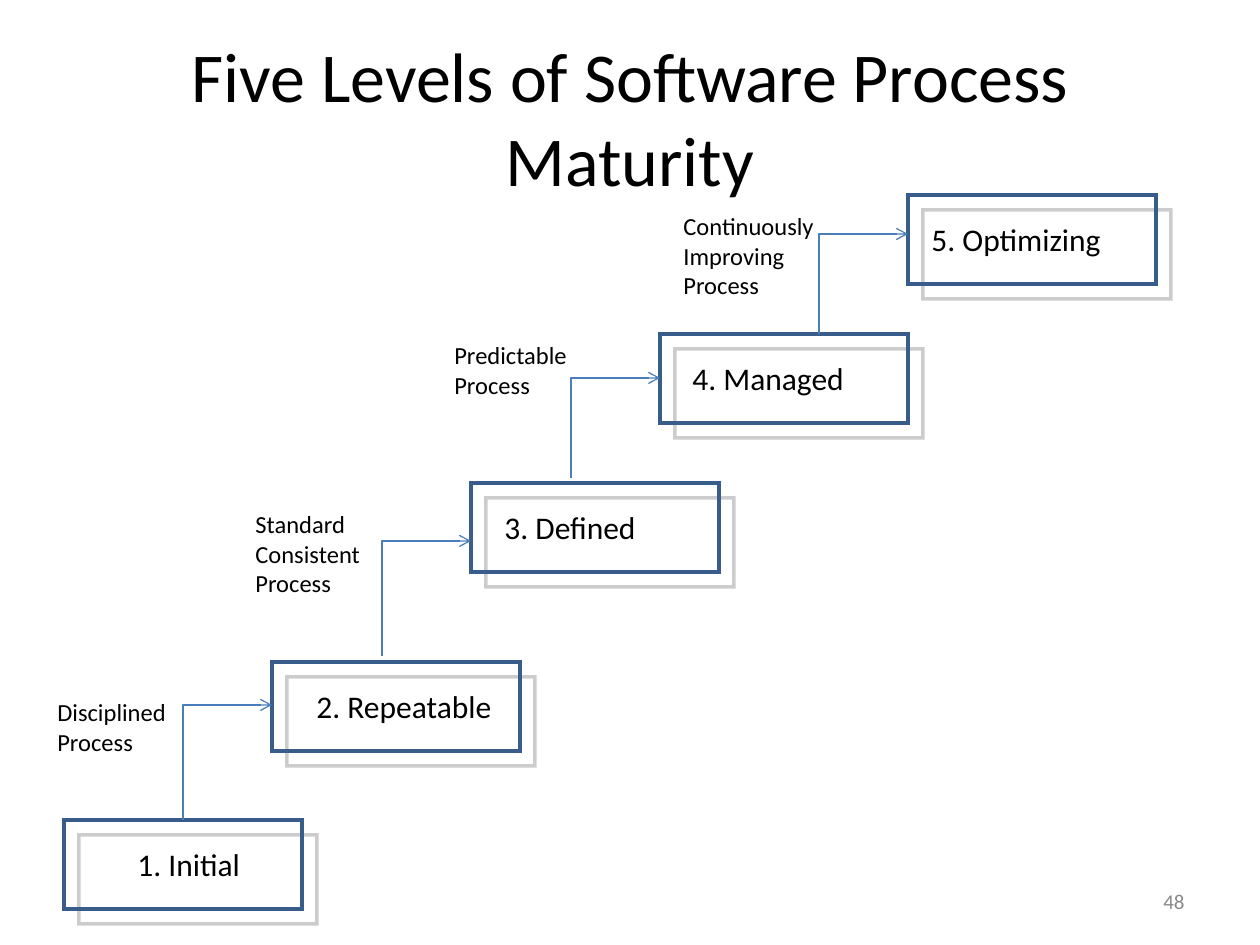
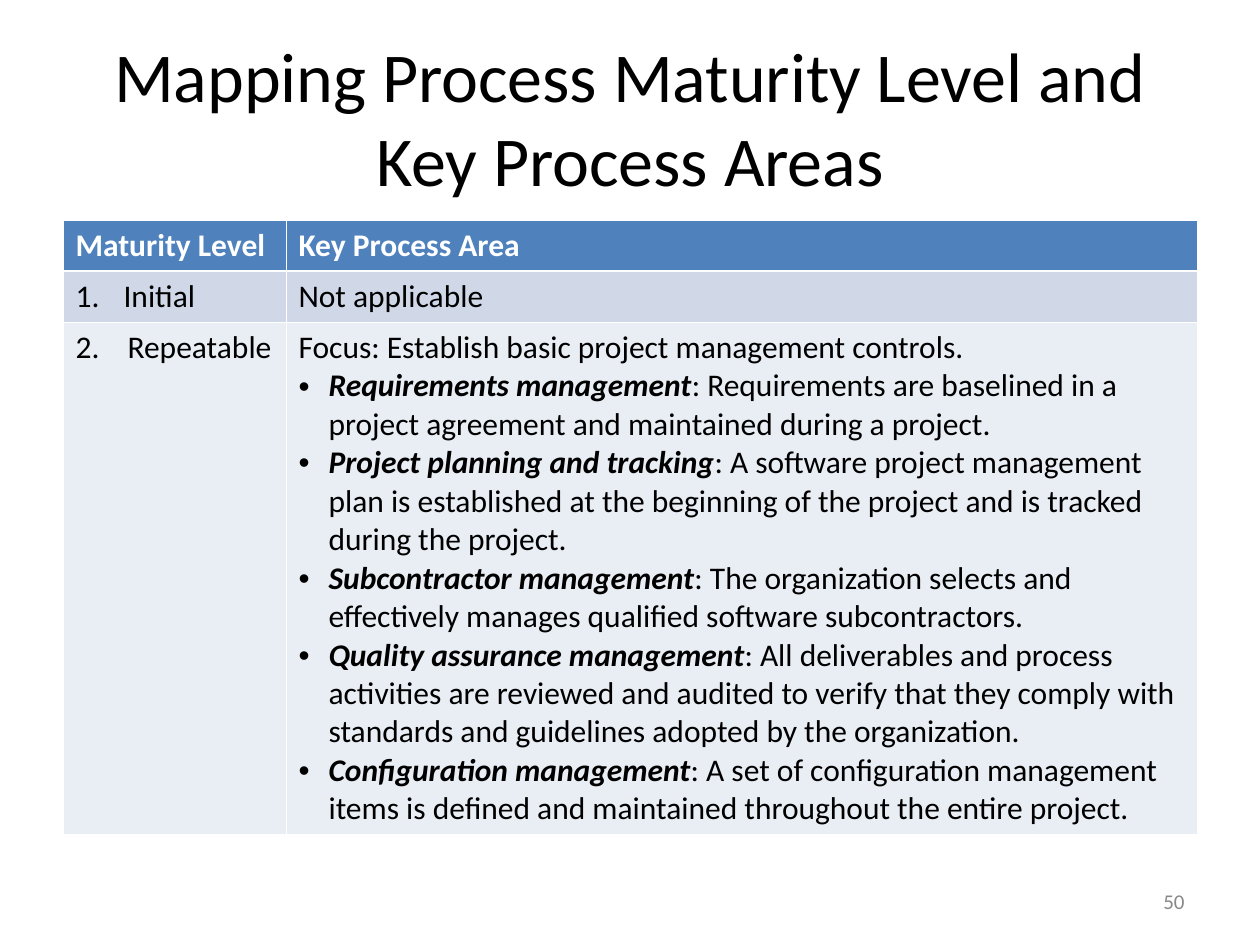
from dataclasses import dataclass

from lxml import etree
from pptx import Presentation
from pptx import util as u
from pptx.dml.color import RGBColor
from pptx.enum import shapes, text
from pptx.oxml import ns

PX = 914400 / 126  # EMU in one pixel


def px(length):
    return u.Emu(round(length * PX))


def put(target, values):
    for name, value in values.items():
        setattr(target, name, value)


def add_xml(parent, tag, **attributes):
    return etree.SubElement(parent, ns.qn(tag), attributes)


@dataclass(frozen=True)
class Theme:
    face: str = "Calibri"
    ink: str = "000000"
    paper: str = "FFFFFF"
    muted: str = "898989"
    box_line: str = "385D8A"
    arrow: str = "4A7EBB"
    header: str = "4F81BD"
    bands: tuple = ("D0D8E8", "E9EDF4")
    title_size: int = 40
    body_size: int = 18
    step_size: int = 14
    number_size: int = 12


INSETS = {"margin_left": px(12.6), "margin_right": px(12.6),
          "margin_top": px(6.3), "margin_bottom": px(6.3)}
TITLE_PLACE = {"left": px(63), "top": px(38), "width": px(1134), "height": px(157)}


class Deck:
    def __init__(self, theme):
        self.theme = theme
        self.show = Presentation()
        put(self.show, {"slide_width": px(1260), "slide_height": px(945)})
        self.slide = None

    # Text
    def run(self, paragraph, words, size, color=None, bold=False, italic=False):
        run = paragraph.add_run()
        run.text = words
        put(run.font, {"name": self.theme.face, "size": u.Pt(size),
                       "bold": bold, "italic": italic})
        run.font.color.rgb = RGBColor.from_string(color or self.theme.ink)

    def lines(self, frame, lines, size, color=None, align=text.PP_ALIGN.LEFT):
        for index, line in enumerate(lines):
            paragraph = frame.add_paragraph() if index else frame.paragraphs[0]
            paragraph.alignment = align
            self.run(paragraph, line, size, color)

    def label(self, place, lines, size):
        frame = self.slide.shapes.add_textbox(*map(px, place)).text_frame
        put(frame, {**INSETS, "word_wrap": True,
                    "auto_size": text.MSO_AUTO_SIZE.NONE})
        self.lines(frame, lines, size)

    # Slide with its title and number
    def new_slide(self, title, number):
        self.slide = self.show.slides.add_slide(self.show.slide_layouts[5])
        heading = self.slide.shapes.title
        put(heading, TITLE_PLACE)
        middle = {**INSETS, "word_wrap": True,
                  "vertical_anchor": text.MSO_ANCHOR.MIDDLE,
                  "auto_size": text.MSO_AUTO_SIZE.NONE}
        put(heading.text_frame, middle)
        self.lines(heading.text_frame, [title], self.theme.title_size,
                   align=text.PP_ALIGN.CENTER)
        footer = self.slide.shapes.add_textbox(*map(px, (903, 876, 294, 50)))
        put(footer.text_frame, middle)
        self.lines(footer.text_frame, [number], self.theme.number_size,
                   self.theme.muted, text.PP_ALIGN.RIGHT)

    # Outlined box with sharp corners and an offset shadow
    def box(self, place):
        box = self.slide.shapes.add_shape(shapes.MSO_SHAPE.RECTANGLE, *map(px, place))
        box.fill.background()
        box.line.color.rgb = RGBColor.from_string(self.theme.box_line)
        box.line.width = u.Pt(2)
        add_xml(box.line._get_or_add_ln(), "a:miter", lim="800000")
        box.shadow.inherit = False
        effects = box._element.spPr.find(ns.qn("a:effectLst"))
        shadow = add_xml(effects, "a:outerShdw", dist=str(u.Pt(12.1)), dir="2700000",
                         algn="tl", rotWithShape="0")
        black = add_xml(shadow, "a:srgbClr", val=self.theme.ink)
        add_xml(black, "a:alpha", val="20000")

    # Arrow that rises, then turns right: a flipped elbow turned by 90 degrees
    def rising_arrow(self, x, y, run, rise):
        left, top = x + (run - rise) / 2, y - (run + rise) / 2
        arrow = self.slide.shapes.add_connector(
            shapes.MSO_CONNECTOR.ELBOW,
            *map(px, (left + rise, top + run, left, top)))
        arrow.line.color.rgb = RGBColor.from_string(self.theme.arrow)
        arrow.line.width = u.Pt(0.75)
        add_xml(arrow.line._get_or_add_ln(), "a:tailEnd", type="arrow")
        properties = arrow._element.spPr
        properties.find(ns.qn("a:xfrm")).set("rot", "5400000")
        properties.find(ns.qn("a:prstGeom")).set("prst", "bentConnector2")
        add_xml(properties, "a:effectLst")

    # Table
    def table(self, place, widths, heights):
        table = self.slide.shapes.add_table(
            len(heights), len(widths), *map(px, place)).table
        for column, width in zip(table.columns, widths):
            column.width = px(width)
        for row, height in zip(table.rows, heights):
            row.height = px(height)
        for row_index, row in enumerate(table.rows):
            fill = (self.theme.header, *self.theme.bands)[row_index]
            for cell in row.cells:
                put(cell, INSETS)
                cell.fill.solid()
                cell.fill.fore_color.rgb = RGBColor.from_string(fill)
                self.borders(cell, row_index)
        return table

    def borders(self, cell, row_index):
        widths = {"a:lnL": 0.45, "a:lnR": 0.45,
                  "a:lnT": 1.47 if row_index == 1 else 0.45,
                  "a:lnB": 1.47 if row_index == 0 else 0.45}
        properties = cell._tc.get_or_add_tcPr()
        for index, (side, width) in enumerate(widths.items()):
            line = add_xml(properties, side, w=str(u.Pt(width)))
            add_xml(add_xml(line, "a:solidFill"), "a:srgbClr", val=self.theme.paper)
            properties.insert(index, line)

    def hang(self, paragraph, indent):
        properties = paragraph._p.get_or_add_pPr()
        properties.set("marL", str(px(indent)))
        properties.set("indent", str(px(-indent)))
        return properties


# Level name, box (left, top, width), label (left, width)
LEVELS = [
    ("1. Initial", (64, 820, 238), (125, 140)),
    ("2. Repeatable", (272, 662, 248), (304, 210)),
    ("3. Defined", (471, 483, 248), (492, 170)),
    ("4. Managed", (660, 334, 248), (680, 190)),
    ("5. Optimizing", (908, 195, 248), (919, 210)),
]
# Lines of the step label, its place, foot and rise of the arrow
STEPS = [
    (["Disciplined", "Process"], (45, 691, 140, 72), 820, 115),
    (["Standard", "Consistent", "Process"], (243, 503, 140, 101), 656, 115),
    (["Predictable", "Process"], (442, 334, 150, 72), 478, 100),
    (["Continuously", "Improving", "Process"], (671, 205, 165, 101), 334, 100),
]
KEY_AREAS = [
    ("Requirements management",
     "Requirements are baselined in a project agreement and maintained during a project."),
    ("Project planning and tracking",
     "A software project management plan is established at the beginning of the project "
     "and is tracked during the project."),
    ("Subcontractor management",
     "The organization selects and effectively manages qualified software subcontractors."),
    ("Quality assurance management",
     "All deliverables and process activities are reviewed and audited to verify that they "
     "comply with standards and guidelines adopted by the organization."),
    ("Configuration management",
     "A set of configuration management items is defined and maintained throughout the "
     "entire project."),
]
BOX_HEIGHT = 89
ARROW_RUN = 89


def maturity_levels(deck):
    deck.new_slide("Five Levels of Software Process Maturity", "48")
    for name, (left, top, width), (label_left, label_width) in LEVELS:
        deck.label((label_left, top + 19, label_width, 50), [name], deck.theme.body_size)
        deck.box((left, top, width, BOX_HEIGHT))
    for (lines, place, foot, rise), (_, next_box, _) in zip(STEPS, LEVELS[1:]):
        deck.rising_arrow(next_box[0] - ARROW_RUN, foot, ARROW_RUN, rise)
        deck.label(place, lines, deck.theme.step_size)


def key_process_areas(deck):
    deck.new_slide("Mapping Process Maturity Level and Key Process Areas", "50")
    size = deck.theme.body_size
    mapping = deck.table((63, 220, 1134, 606), (223, 911), (51, 51, 504))

    # Header row
    for column, heading in enumerate(("Maturity Level", "Key Process Area")):
        deck.run(mapping.cell(0, column).text_frame.paragraphs[0], heading, size,
                 deck.theme.paper, bold=True)

    # Level 1
    initial = mapping.cell(1, 0).text_frame.paragraphs[0]
    add_xml(deck.hang(initial, 48), "a:buAutoNum", type="arabicPeriod")
    deck.run(initial, "Initial", size)
    deck.lines(mapping.cell(1, 1).text_frame, ["Not applicable"], size)

    # Level 2
    repeatable = mapping.cell(2, 0).text_frame.paragraphs[0]
    tabs = add_xml(repeatable._p.get_or_add_pPr(), "a:tabLst")
    add_xml(tabs, "a:tab", pos=str(px(52)), algn="l")
    deck.run(repeatable, "2.\tRepeatable", size)
    areas = mapping.cell(2, 1).text_frame
    deck.lines(areas, ["Focus: Establish basic project management controls."], size)
    for area, meaning in KEY_AREAS:
        paragraph = areas.add_paragraph()
        properties = deck.hang(paragraph, 30)
        add_xml(properties, "a:buFont", typeface="Arial")
        add_xml(properties, "a:buChar", char="•")
        deck.run(paragraph, area, size, bold=True, italic=True)
        deck.run(paragraph, ": " + meaning, size)


def main():
    deck = Deck(Theme())
    maturity_levels(deck)
    key_process_areas(deck)
    deck.show.save("out.pptx")


if __name__ == "__main__":
    main()
